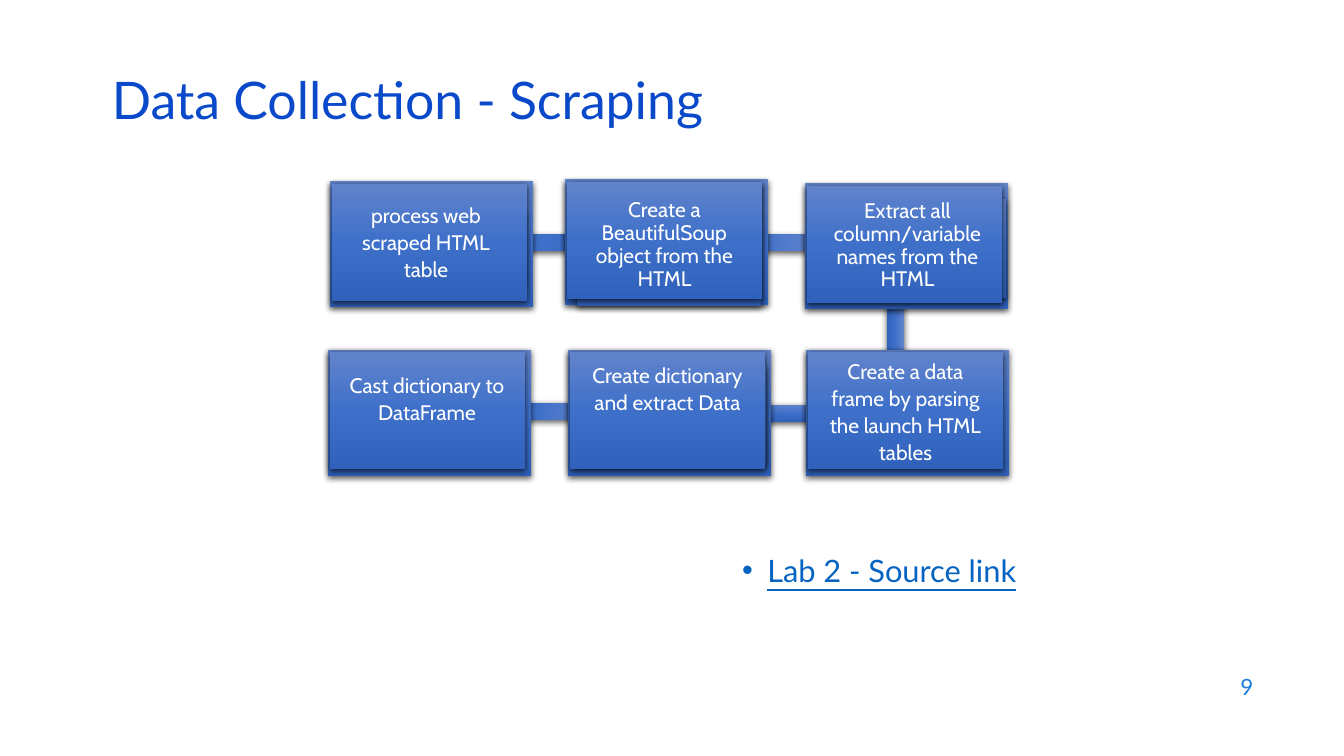
import copy
from dataclasses import dataclass

import pptx
import pptx.dml.color
import pptx.enum.shapes
import pptx.enum.text
import pptx.oxml
import pptx.oxml.ns
import pptx.util

Inches = pptx.util.Inches
Pt = pptx.util.Pt
ALIGN = pptx.enum.text.PP_ALIGN
ANCHOR = pptx.enum.text.MSO_ANCHOR

TITLE = "Data Collection - Scraping"
LAB_LINK = "Lab 2 - Source link"
PAGE = "9"

COLUMNS = (3.26, 5.62, 7.99)
ROWS = (1.8, 3.47)
PLATE = (2.02, 1.25)
FACE = (0.02, 0.025, 1.94, 1.16)
BAR = 0.17

# Boxes tell: column, row, nudge, inner plate, text area, line spacing, lines.
# The inner plate and the text area are offset from the box corner.
STEPS = [
    (0, 0, (0.01, 0), (0.11, 0.27, 1.83, 0.76), (0.23, 0.19, 1.45, 0.8), Pt(16.4),
     ["process web", "scraped HTML", "table"]),
    (1, 0, (-0.02, -0.02), (0.12, 0.04, 1.83, 1.22), (0.26, 0.15, 1.46, 0.96), 0.92,
     ["Create a BeautifulSoup object from the HTML"]),
    (2, 0, (-0.01, 0.02), (0.08, 0.15, 1.92, 0.99), (0.25, 0.13, 1.54, 0.95), 0.9,
     ["Extract all column/variable names from the HTML"]),
    (0, 1, (-0.01, 0), None, (0.17, 0.21, 1.63, 0.53), Pt(16.4),
     ["Cast dictionary to", "DataFrame"]),
    (1, 1, (0.01, 0), (0.09, 0.15, 1.88, 0.99), (0.24, 0.11, 1.5, 0.56), Pt(16.5),
     ["Create dictionary", "and extract Data"]),
    (2, 1, (0, 0), None, (0.15, 0.07, 1.68, 1.06), Pt(16.4),
     ["Create a data", "frame by parsing", "the launch HTML", "tables"]),
]

# Bars between boxes: centre x, centre y, width, height, rotation
BARS = [
    (5.38, 2.41, BAR, 1.44, 270),
    (7.41, 2.41, BAR, 1.44, 90),
    (8.88, 2.85, 1.27, BAR, 90),
    (5.31, 4.08, BAR, 1.1, 90),
    (7.34, 4.1, 2.57, BAR, 0),
]


@dataclass(frozen=True)
class Theme:
    title: str = "0B49CB"
    link: str = "0563C1"
    page: str = "1C7DDB"
    step: str = "FFFFFF"
    gradient: tuple = ((0, "6183CB"), (0.5, "3E70CA"), (1, "3062BB"))
    main_font: str = "Lato"
    step_font: str = "Cabin"
    title_size: float = 37
    link_size: float = 22
    page_size: float = 16
    step_size: float = 15


THEME = Theme()


def rgb(value):
    return pptx.dml.color.RGBColor.from_string(value)


def place(shape, left, top, width, height):
    shape.left, shape.top = Inches(left), Inches(top)
    shape.width, shape.height = Inches(width), Inches(height)


def write(shape, lines, *, size, color, font=THEME.main_font, align=ALIGN.LEFT,
          anchor=ANCHOR.TOP, spacing=1.0, gap=0, insets=None,
          underline=False, bullet=None):
    frame = shape.text_frame
    frame.word_wrap = True
    frame.auto_size = pptx.enum.text.MSO_AUTO_SIZE.NONE
    frame.vertical_anchor = anchor
    if insets:
        (frame.margin_left, frame.margin_top,
         frame.margin_right, frame.margin_bottom) = map(Inches, insets)
    for index, line in enumerate(lines):
        paragraph = frame.paragraphs[0] if index == 0 else frame.add_paragraph()
        paragraph.alignment = align
        paragraph.line_spacing = spacing
        paragraph.space_before = Pt(gap if index else 0)
        if bullet:
            properties = paragraph._p.get_or_add_pPr()
            properties.set("marL", str(Inches(0.25)))
            properties.set("indent", str(-Inches(0.25)))
            properties.append(pptx.oxml.parse_xml(
                f'<a:buChar {pptx.oxml.ns.nsdecls("a")} char="{bullet}"/>'))
        run = paragraph.add_run()
        run.text = line
        run.font.name = font
        run.font.size = Pt(size)
        run.font.color.rgb = rgb(color)
        run.font.underline = underline


def add_block(slide, left, top, width, height, rotation=0):
    """Add a rectangle with the shared gradient and soft shadow."""
    block = slide.shapes.add_shape(
        pptx.enum.shapes.MSO_SHAPE.RECTANGLE,
        Inches(left), Inches(top), Inches(width), Inches(height))
    block.rotation = rotation
    block.line.fill.background()
    block.fill.gradient()
    block.fill.gradient_angle = 270
    properties = block._element.spPr
    stop_list = properties.find(".//" + pptx.oxml.ns.qn("a:gsLst"))
    stop_list.insert(1, copy.deepcopy(stop_list[0]))
    for stop, (position, color) in zip(block.fill.gradient_stops, THEME.gradient):
        stop.position = position
        stop.color.rgb = rgb(color)
    block.shadow.inherit = False
    properties.find(pptx.oxml.ns.qn("a:effectLst")).append(pptx.oxml.parse_xml(
        f'<a:outerShdw {pptx.oxml.ns.nsdecls("a")} blurRad="{Pt(4.5)}" '
        f'dist="{Pt(1.5)}" dir="5400000" algn="ctr" rotWithShape="0">'
        '<a:srgbClr val="000000"><a:alpha val="63000"/></a:srgbClr></a:outerShdw>'))


def add_step(slide, column, row, nudge, inner, text_area, spacing, lines):
    left, top = COLUMNS[column] + nudge[0], ROWS[row] + nudge[1]
    for plate in ((0, 0, *PLATE), inner, FACE):
        if plate:
            x, y, width, height = plate
            add_block(slide, left + x, top + y, width, height)
    x, y, width, height = text_area
    label = slide.shapes.add_textbox(
        Inches(left + x), Inches(top + y), Inches(width), Inches(height))
    write(label, lines, size=THEME.step_size, color=THEME.step,
          font=THEME.step_font, align=ALIGN.CENTER, spacing=spacing,
          gap=2.9, insets=(0, 0.04, 0, 0))


def main():
    presentation = pptx.Presentation()
    presentation.slide_width = Inches(13.33)
    presentation.slide_height = Inches(7.5)
    slide = presentation.slides.add_slide(presentation.slide_layouts[1])

    title, body = slide.placeholders
    place(title, 1.01, 0.76, 11.5, 0.6)
    write(title, [TITLE], size=THEME.title_size, color=THEME.title,
          anchor=ANCHOR.MIDDLE, spacing=0.7)
    place(body, 7.26, 5.42, 4.3, 0.6)
    write(body, [LAB_LINK], size=THEME.link_size, color=THEME.link,
          underline=True, bullet="•")

    page = slide.shapes.add_textbox(
        Inches(9.53), Inches(6.59), Inches(3), Inches(0.44))
    write(page, [PAGE], size=THEME.page_size, color=THEME.page,
          align=ALIGN.RIGHT, anchor=ANCHOR.MIDDLE)

    for center_x, center_y, width, height, rotation in BARS:
        add_block(slide, center_x - width / 2, center_y - height / 2,
                  width, height, rotation)
    for step in STEPS:
        add_step(slide, *step)

    presentation.save("out.pptx")


if __name__ == "__main__":
    main()
